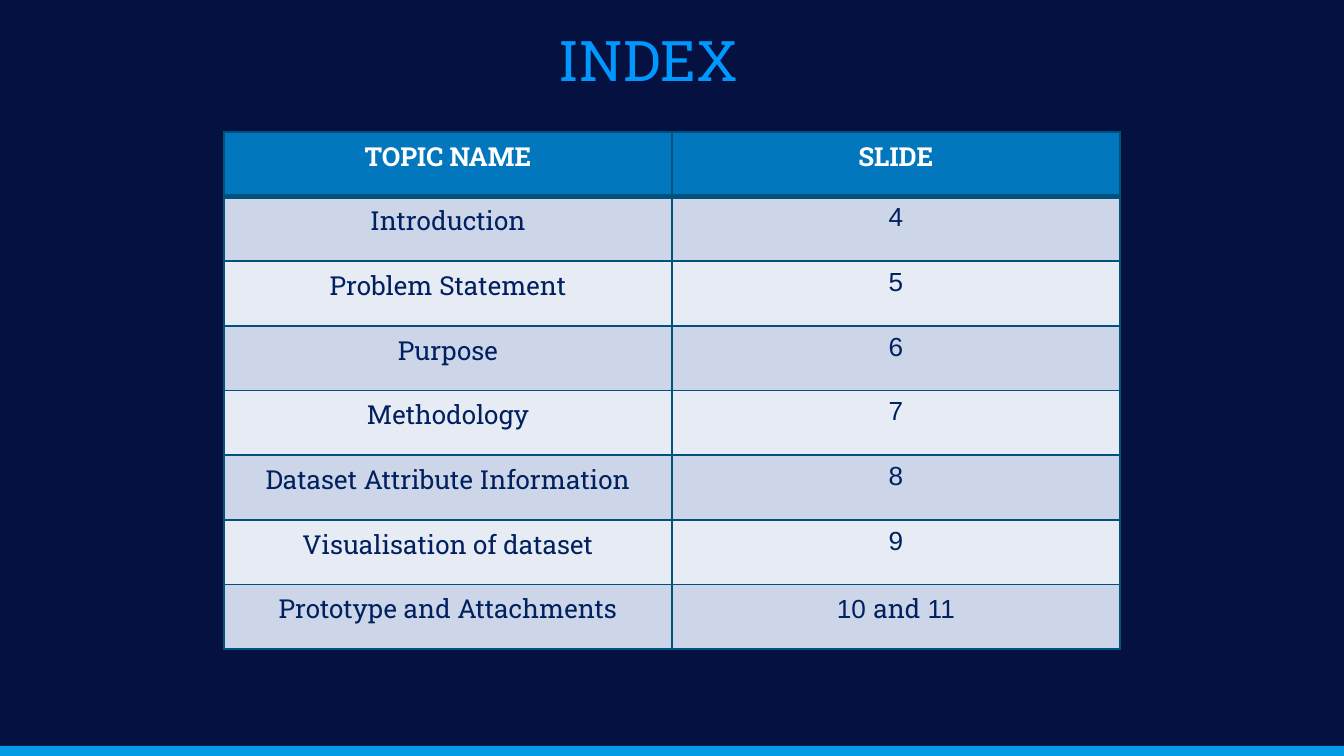
import dataclasses

import pptx
import pptx.dml.color
import pptx.enum.shapes
import pptx.enum.text
import pptx.oxml
import pptx.oxml.ns
import pptx.util

Pt = pptx.util.Pt


@dataclasses.dataclass(frozen=True)
class Theme:
    background: str = "051141"
    bar: str = "039BE5"
    title: str = "0098FF"
    header_fill: str = "0277BD"
    header_text: str = "FFFFFF"
    body_text: str = "002060"
    bands: tuple = ("CCD6E8", "E7ECF4")
    border: str = "00517C"
    slab: str = "Roboto Slab"
    plain: str = "Arial"
    title_size: int = 30
    table_size: int = 14


def apply_format(target, values):
    for name, value in values.items():
        setattr(target, name, value)


def paint(fill, color):
    fill.solid()
    fill.fore_color.rgb = pptx.dml.color.RGBColor.from_string(color)


class IndexSlide:
    def __init__(self, slide, theme):
        self.slide = slide
        self.theme = theme
        paint(slide.background.fill, theme.background)

    def bar(self, left, top, width, height):
        bar = self.slide.shapes.add_shape(
            pptx.enum.shapes.MSO_SHAPE.RECTANGLE, Pt(left), Pt(top), Pt(width), Pt(height))
        bar.shadow.inherit = False
        bar.line.fill.background()
        paint(bar.fill, self.theme.bar)

    def centered_text(self, frame, runs, size, color, bold=False):
        paragraph = frame.paragraphs[0]
        paragraph.alignment = pptx.enum.text.PP_ALIGN.CENTER
        for text, font_name in runs:
            run = paragraph.add_run()
            run.text = text
            apply_format(run.font, {"name": font_name, "size": Pt(size), "bold": bold})
            run.font.color.rgb = pptx.dml.color.RGBColor.from_string(color)

    def title(self, text, left, top, width, height):
        frame = self.slide.shapes.add_textbox(
            Pt(left), Pt(top), Pt(width), Pt(height)).text_frame
        apply_format(frame, {
            "word_wrap": True,
            "vertical_anchor": pptx.enum.text.MSO_ANCHOR.MIDDLE,
            "margin_left": Pt(7.2), "margin_right": Pt(7.2),
            "margin_top": Pt(7.2), "margin_bottom": Pt(7.2),
        })
        self.centered_text(
            frame, [(text, self.theme.slab)], self.theme.title_size, self.theme.title)

    def borders(self, cell, widths):
        properties = cell._tc.get_or_add_tcPr()
        for position, (side, width) in enumerate(widths.items()):
            properties.insert(position, pptx.oxml.parse_xml(
                f'<a:{side} {pptx.oxml.ns.nsdecls("a")} w="{Pt(width)}"><a:solidFill>'
                f'<a:srgbClr val="{self.theme.border}"/></a:solidFill></a:{side}>'))

    def table(self, rows, left, top, width, height):
        theme = self.theme
        table = self.slide.shapes.add_table(
            len(rows), len(rows[0]), Pt(left), Pt(top), Pt(width), Pt(height)).table
        for row_index, topic in enumerate(rows):
            header = row_index == 0
            fill = theme.header_fill if header else theme.bands[(row_index - 1) % 2]
            color = theme.header_text if header else theme.body_text
            for column_index, runs in enumerate(topic):
                cell = table.cell(row_index, column_index)
                paint(cell.fill, fill)
                self.borders(cell, {"lnL": 1, "lnR": 1,
                                    "lnT": 3 if row_index == 1 else 1,
                                    "lnB": 3 if header else 1})
                self.centered_text(cell.text_frame, runs, theme.table_size, color, header)


def main():
    theme = Theme()
    deck = pptx.Presentation()
    apply_format(deck, {"slide_width": Pt(720), "slide_height": Pt(405)})
    index = IndexSlide(deck.slides.add_slide(deck.slide_layouts[6]), theme)

    topics = [
        ("Introduction", "4"),
        ("Problem Statement", "5"),
        ("Purpose", "6"),
        ("Methodology", "7"),
        ("Dataset Attribute Information", "8"),
        ("Visualisation of dataset", "9"),
    ]
    rows = [[[("TOPIC NAME", theme.slab)], [("SLIDE", theme.slab)]]]
    rows += [[[(topic, theme.slab)], [(number, theme.plain)]] for topic, number in topics]
    rows.append([[("Prototype and Attachments", theme.slab)],
                 [("10 ", theme.plain), ("and", theme.slab), (" 11", theme.plain)]])

    index.bar(0, 399.6, 720, 5.4)
    index.title("INDEX", 18, 3, 658.8, 57)
    index.table(rows, 120, 70.6, 480, 277.2)
    deck.save("out.pptx")


if __name__ == "__main__":
    main()
